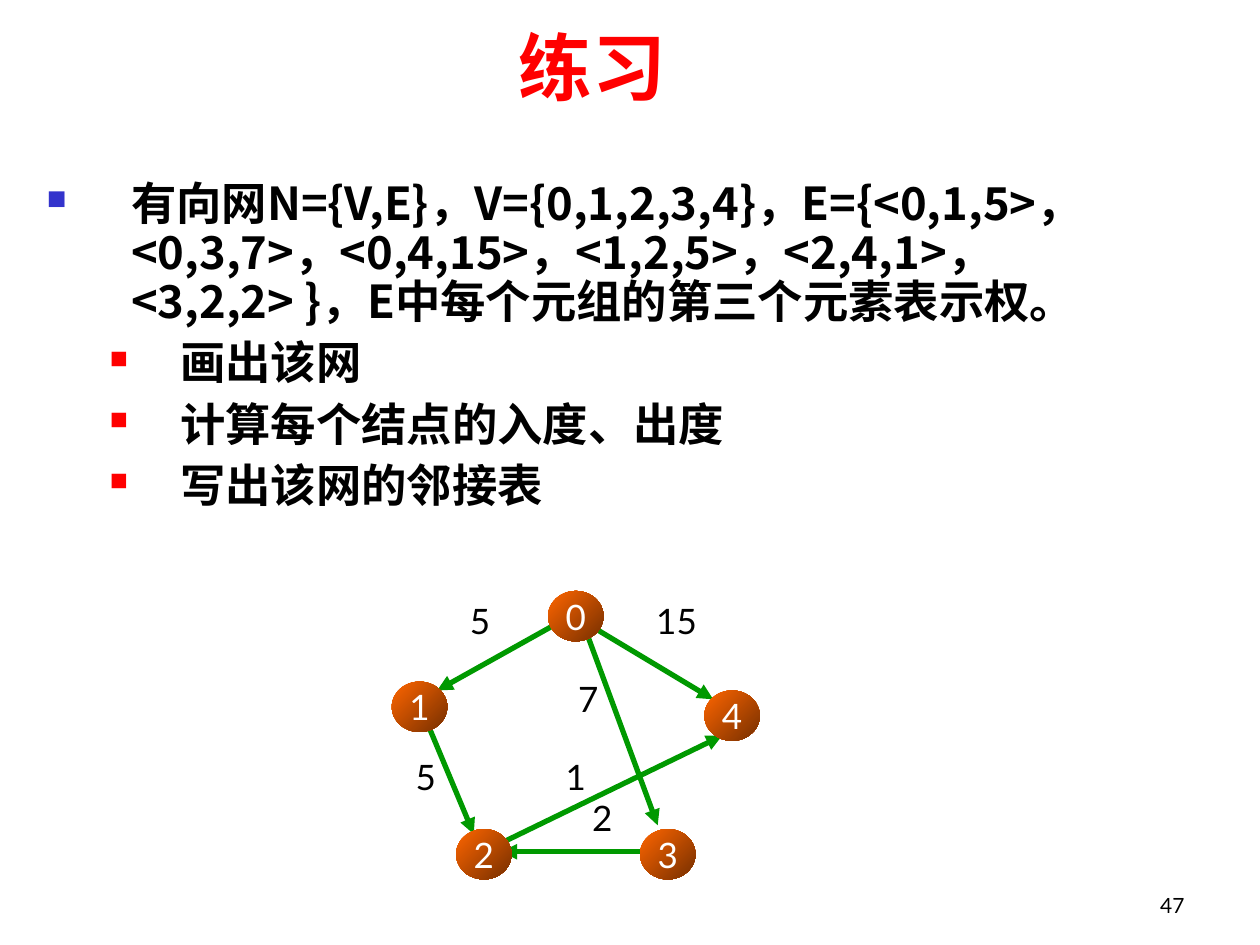
import pptx
import pptx.dml.color
import pptx.enum.shapes
import pptx.enum.text
import pptx.util
from lxml import etree
from pptx.oxml.ns import qn

PX = 9144  # EMU per px, 100 px to the inch
RGB = pptx.dml.color.RGBColor
BLACK, WHITE = RGB(0, 0, 0), RGB(255, 255, 255)
RED, BLUE, GREEN = RGB(255, 0, 0), RGB(0x33, 0x33, 0xCC), RGB(0, 0x99, 0)
ORANGE, BROWN = RGB(0xFF, 0x66, 0), RGB(0x76, 0x2F, 0)
LATIN, CHINESE, SYMBOL = "Lato", "Noto Sans CJK SC", "OpenSymbol"
ALIGN = pptx.enum.text.PP_ALIGN
ANCHOR = pptx.enum.text.MSO_ANCHOR

TASK = ("有向网N={V,E}，V={0,1,2,3,4}，E={<0,1,5>，<0,3,7>，<0,4,15>，"
        "<1,2,5>，<2,4,1>，<3,2,2> }，E中每个元组的第三个元素表示权。")
QUESTIONS = ["画出该网", "计算每个结点的入度、出度", "写出该网的邻接表"]

# Graph positions are relative to its box
NODE_SIZE = (44, 40)
NODES = {"0": (124, 0), "1": (0, 72), "2": (51, 189), "3": (197, 189), "4": (248, 79)}
EDGES = [  # start, end, weight, left, top and width of the weight
    ((138, 22), (36, 79), "5", (43, 2, 54)),
    ((153, 29), (211, 186), "7", (129, 64, 54)),
    ((160, 29), (255, 86), "15", (183, 2, 86)),
    ((29, 107), (65, 193), "5", (0, 126, 54)),
    ((87, 200), (262, 115), "1", (119, 126, 54)),
    ((197, 207), (87, 207), "2", (140, 158, 54)),
]
WEIGHT_HEIGHT = 44


def place(shape, box):
    shape.left, shape.top, shape.width, shape.height = (n * PX for n in box)


def style(para, size, color, font=LATIN, bold=False, align=None):
    para.alignment = align
    for span in para.runs:
        span.font.size = pptx.util.Pt(size)
        span.font.color.rgb = color
        span.font.name = font
        span.font.bold = bold
        east_asian = etree.SubElement(span.font._element, qn("a:ea"))
        east_asian.set("typeface", CHINESE)


def add_bullet(para, color, percent, left, hanging):
    props = para._p.get_or_add_pPr()
    props.set("marL", str(left * PX))
    props.set("indent", str(-hanging * PX))
    bullet_color = etree.SubElement(props, qn("a:buClr"))
    etree.SubElement(bullet_color, qn("a:srgbClr")).set("val", str(color))
    etree.SubElement(props, qn("a:buSzPct")).set("val", str(percent * 1000))
    etree.SubElement(props, qn("a:buFont")).set("typeface", SYMBOL)
    etree.SubElement(props, qn("a:buChar")).set("char", "■")


def add_label(shapes, box, text, size, align, anchor=ANCHOR.TOP):
    label = shapes.add_textbox(*(n * PX for n in box))
    frame = label.text_frame
    frame.text = text
    frame.word_wrap = True
    frame.vertical_anchor = anchor
    style(frame.paragraphs[0], size, BLACK, align=align)


def fill_title(title, box):
    place(title, box)
    frame = title.text_frame
    frame.text = "练习"
    frame.auto_size = pptx.enum.text.MSO_AUTO_SIZE.NONE
    frame.vertical_anchor = ANCHOR.MIDDLE
    frame.margin_top, frame.margin_bottom = 8 * PX, 0
    style(frame.paragraphs[0], 42, RED, bold=True, align=ALIGN.CENTER)


def fill_body(body, box):
    place(body, box)
    frame = body.text_frame
    frame.text = "\n".join([TASK] + QUESTIONS)
    frame.auto_size = pptx.enum.text.MSO_AUTO_SIZE.NONE
    for index, para in enumerate(frame.paragraphs):
        para.line_spacing = 0.9
        para.space_before = pptx.util.Pt(7 if index else 0)
        if index:
            para.level = 1
            add_bullet(para, RED, 55, 106, 56)
        else:
            add_bullet(para, BLUE, 60, 67, 67)
        style(para, 25.9, BLACK, CHINESE, bold=True)


def add_edge(shapes, start, end):
    edge = shapes.add_connector(pptx.enum.shapes.MSO_CONNECTOR.STRAIGHT,
                                *(n * PX for n in start + end))
    edge.line.color.rgb = GREEN
    edge.line.width = pptx.util.Pt(3)
    etree.SubElement(edge.line._get_or_add_ln(), qn("a:tailEnd")).set("type", "triangle")
    etree.SubElement(edge._element.spPr, qn("a:effectLst"))


def add_node(shapes, box, name):
    node = shapes.add_shape(pptx.enum.shapes.MSO_SHAPE.OVAL, *(n * PX for n in box))
    node.shadow.inherit = False
    node.line.fill.background()
    node.fill.gradient()
    node.fill.gradient_angle = 315
    for stop, color in zip(node.fill.gradient_stops, (ORANGE, BROWN)):
        stop.color.rgb = color
    frame = node.text_frame
    frame.text = name
    frame.word_wrap = False
    frame.margin_left = frame.margin_right = 0
    frame.vertical_anchor = ANCHOR.MIDDLE
    style(frame.paragraphs[0], 20, WHITE, align=ALIGN.CENTER)


def add_graph(page, left, top):
    shapes = page.shapes.add_group_shape().shapes
    for start, end, _, _ in EDGES:
        add_edge(shapes, (left + start[0], top + start[1]), (left + end[0], top + end[1]))
    for name, (x, y) in NODES.items():
        add_node(shapes, (left + x, top + y) + NODE_SIZE, name)
    for _, _, weight, (x, y, width) in EDGES:
        add_label(shapes, (left + x, top + y, width, WEIGHT_HEIGHT), weight, 20, ALIGN.CENTER)


def main():
    deck = pptx.Presentation()
    deck.slide_width, deck.slide_height = 1000 * PX, 750 * PX
    page = deck.slides.add_slide(deck.slide_layouts[1])
    # Page number
    add_label(page.shapes, (717, 683, 233, 50), "47", 12, ALIGN.RIGHT, ANCHOR.BOTTOM)
    # Exercise text
    fill_body(page.placeholders[1], (27, 139, 937, 307))
    fill_title(page.shapes.title, (20, 13, 900, 71))
    # Directed network
    add_graph(page, 311, 469)
    deck.save("out.pptx")


if __name__ == "__main__":
    main()
